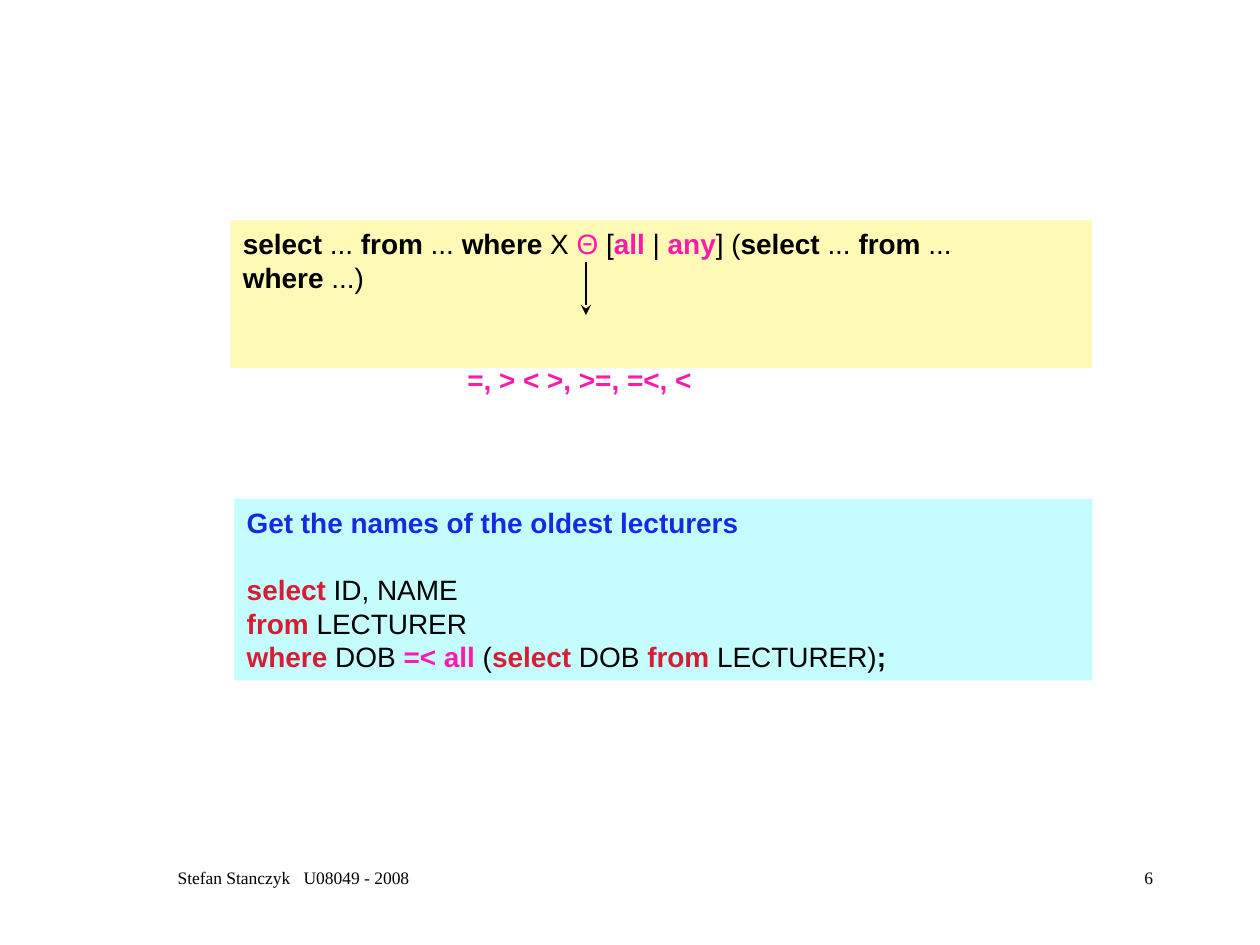
import pptx
import pptx.dml.color
import pptx.enum.shapes
import pptx.enum.text
import pptx.oxml.ns
import pptx.util
from lxml import etree
from pptx.util import Inches

BLACK, PINK, RED, BLUE = "000000", "FA1BAC", "D51E34", "162AE1"
YELLOW, CYAN = "FFF9B6", "C5FDFF"


def rgb(value):
    return pptx.dml.color.RGBColor.from_string(value)


def sub(parent, tag, **attrs):
    """Append an XML child with the given attributes."""
    return etree.SubElement(parent, pptx.oxml.ns.qn(tag), attrs)


def plain(text):
    return text, BLACK, False


def bold(text, color=BLACK):
    return text, color, True


class Slide:
    code_font, code_size, line_pitch = "Arial", 16, 19.25
    footer_font, footer_size = "Times New Roman", 10

    def __init__(self, prs):
        self.s = prs.slides.add_slide(prs.slide_layouts[6])

    def run(self, p, text, color, is_bold, font, size):
        r = p.add_run()
        r.text = text
        r.font.name = font
        r.font.size = pptx.util.Pt(size)
        r.font.bold = is_bold
        r.font.color.rgb = rgb(color)

    def code_line(self, p, runs, pitch):
        p.alignment = pptx.enum.text.PP_ALIGN.LEFT
        p.line_spacing = pptx.util.Pt(pitch)
        for item in runs:
            self.run(p, *item, self.code_font, self.code_size)

    def panel(self, x, y, w, h, fill, lines, right=0.1):
        """Filled code box; each line is (blank lines before, runs)."""
        sp = self.s.shapes.add_shape(pptx.enum.shapes.MSO_SHAPE.RECTANGLE,
                                     Inches(x), Inches(y), Inches(w), Inches(h))
        sp.shadow.inherit = False
        sp.fill.solid()
        sp.fill.fore_color.rgb = rgb(fill)
        sp.line.fill.background()
        tf = sp.text_frame
        tf.word_wrap = True
        tf.margin_right = Inches(right)
        tf.vertical_anchor = pptx.enum.text.MSO_ANCHOR.TOP
        for i, (gap, runs) in enumerate(lines):
            p = tf.add_paragraph() if i else tf.paragraphs[0]
            if gap:
                p.space_before = pptx.util.Pt(gap * self.line_pitch)
            self.code_line(p, runs, self.line_pitch)

    def label(self, x, y, w, h, runs):
        """One line of code text without insets."""
        tf = self.s.shapes.add_textbox(Inches(x), Inches(y),
                                       Inches(w), Inches(h)).text_frame
        tf.word_wrap = True
        tf.margin_left = tf.margin_right = tf.margin_top = tf.margin_bottom = 0
        self.code_line(tf.paragraphs[0], runs, self.code_size)

    def arrow(self, x1, y1, x2, y2):
        c = self.s.shapes.add_connector(pptx.enum.shapes.MSO_CONNECTOR.STRAIGHT,
                                        Inches(x1), Inches(y1), Inches(x2), Inches(y2))
        c.line.width = pptx.util.Pt(0.75)
        c.line.color.rgb = rgb(BLACK)
        sub(c.line._get_or_add_ln(), "a:tailEnd", type="stealth")
        sub(c._element.spPr, "a:effectLst")

    def footer(self, x, w, text, align, left=0.1, tab=None):
        tf = self.s.shapes.add_textbox(Inches(x), Inches(6.83),
                                       Inches(w), Inches(0.5)).text_frame
        tf.word_wrap = True
        tf.margin_left = Inches(left)
        p = tf.paragraphs[0]
        p.alignment = align
        if tab:
            tabs = sub(p._p.get_or_add_pPr(), "a:tabLst")
            sub(tabs, "a:tab", pos=str(Inches(tab)), algn="l")
        self.run(p, text, BLACK, False, self.footer_font, self.footer_size)


def main():
    prs = pptx.Presentation()
    prs.slide_width, prs.slide_height = Inches(10), Inches(7.5)
    slide = Slide(prs)

    syntax = [bold("select "), plain("... "), bold("from"), plain(" ... "),
              bold("where"), plain(" X "), ("Θ", PINK, False), plain(" ["),
              bold("all ", PINK), plain("| "), bold("any", PINK), plain("] ("),
              bold("select"), plain(" ... "), bold("from"), plain(" ... "),
              bold("where"), plain(" ...)")]
    slide.panel(1.83, 1.75, 6.84, 1.17, YELLOW, [(0, syntax)], right=0.6)
    slide.label(3.71, 2.92, 2.2, 0.25, [bold("=, > < >, >=, =<, <", PINK)])
    slide.arrow(4.65, 2.08, 4.65, 2.5)

    slide.panel(1.86, 3.96, 6.81, 1.44, CYAN, [
        (0, [bold("Get the names of the oldest lecturers", BLUE)]),
        (1, [bold("select ", RED), plain("ID, NAME")]),
        (0, [bold("from ", RED), plain("LECTURER")]),
        (0, [bold("where ", RED), plain("DOB "), bold("=< all", PINK),
             plain(" ("), bold("select", RED), plain(" DOB "),
             bold("from", RED), plain(" LECTURER)"), bold(";")]),
    ])

    align = pptx.enum.text.PP_ALIGN
    slide.footer(0.75, 3.17, "Stefan Stanczyk\tU08049 - 2008", align.LEFT,
                 left=0.66, tab=1)
    slide.footer(7.17, 2.08, "6", align.RIGHT)
    prs.save("out.pptx")


if __name__ == "__main__":
    main()
